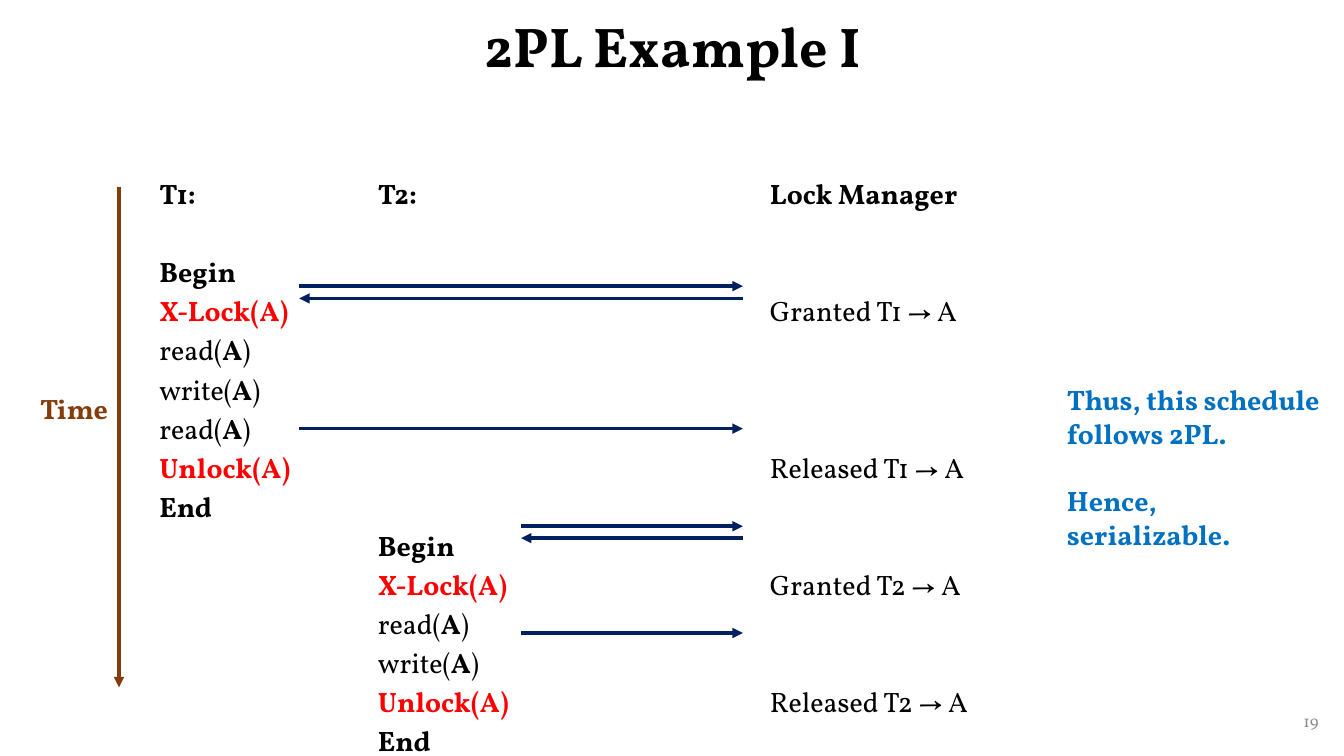
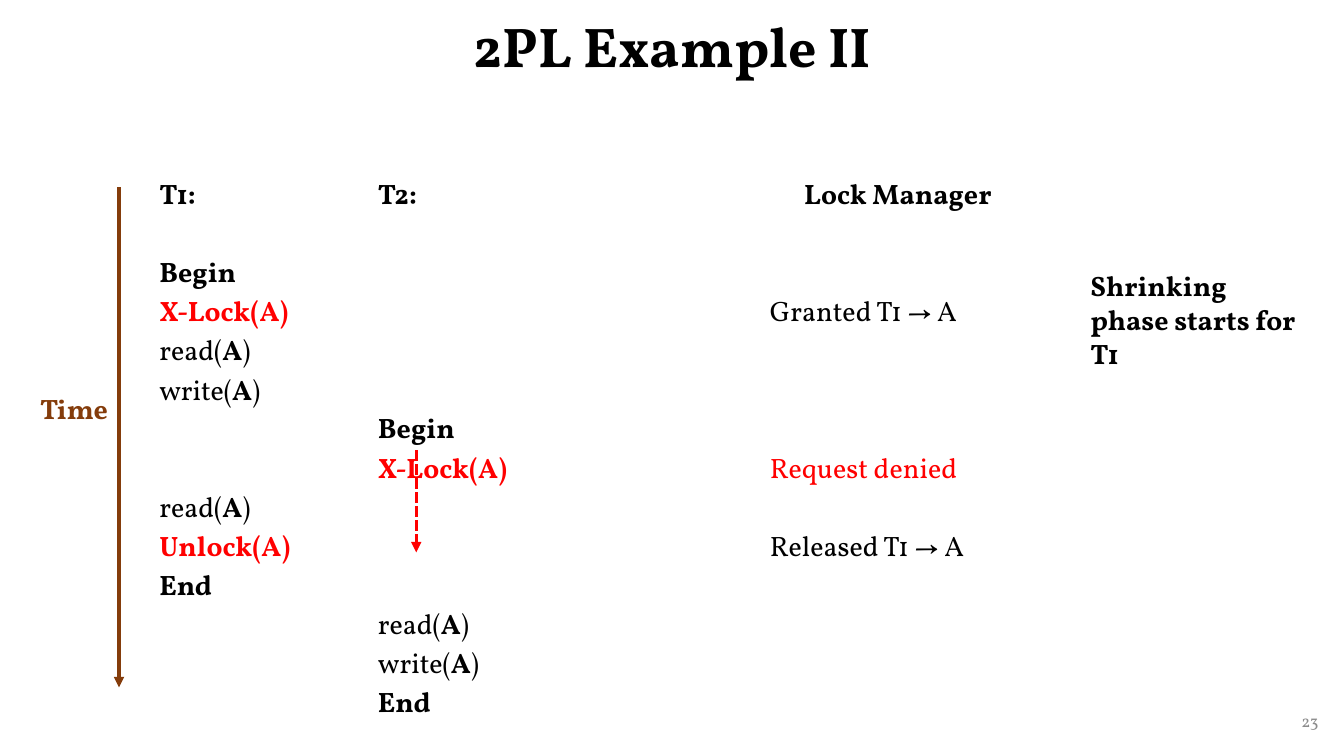
from pptx import Presentation
from pptx.dml.color import RGBColor
from pptx.enum.dml import MSO_LINE
from pptx.enum.shapes import MSO_CONNECTOR
from pptx.enum.text import MSO_ANCHOR, PP_ALIGN
from pptx.oxml.ns import qn
from pptx.util import Cm, Pt
from lxml.etree import SubElement

# Shared style
FONT = "Vollkorn"
BLACK = RGBColor(0x00, 0x00, 0x00)
RED = RGBColor(0xFF, 0x00, 0x00)
BROWN = RGBColor(0x84, 0x3C, 0x0B)
NAVY = RGBColor(0x00, 0x20, 0x60)
BLUE = RGBColor(0x00, 0x70, 0xC0)
GREY = RGBColor(0x8C, 0x8C, 0x8C)
LINE_PITCH = 27.9  # points from one schedule line to the next

# Shared places, in centimetres
TABLE_TOP, CELL_MARGIN = 4.35, 0.13
STEPS_LEFT, STEP_WIDTHS = 3.76, (5.51, 5.21)
MANAGER_LEFT, MANAGER_WIDTH = 19.15, 6.96
T1_EDGE, T2_EDGE, MANAGER_EDGE = 7.54, 13.13, 18.72

# Column contents: line number and text
EXAMPLE_1_STEPS = [
    [(0, "T1:"), (2, "Begin"), (3, "X-Lock(A)"), (4, "read(A)"), (5, "write(A)"),
     (6, "read(A)"), (7, "Unlock(A)"), (8, "End")],
    [(0, "T2:"), (9, "Begin"), (10, "X-Lock(A)"), (11, "read(A)"),
     (12, "write(A)"), (13, "Unlock(A)"), (14, "End")],
]
EXAMPLE_1_MANAGER = [(0, "Lock Manager"), (3, "Granted T1 → A"), (7, "Released T1 → A"),
                     (10, "Granted T2 → A"), (13, "Released T2 → A")]
EXAMPLE_2_STEPS = [
    [(0, "T1:"), (2, "Begin"), (3, "X-Lock(A)"), (4, "read(A)"), (5, "write(A)"),
     (8, "read(A)"), (9, "Unlock(A)"), (10, "End")],
    [(0, "T2:"), (6, "Begin"), (7, "X-Lock(A)"), (11, "read(A)"),
     (12, "write(A)"), (13, "End")],
]
EXAMPLE_2_MANAGER = [(0, "Lock Manager"), (3, "Granted T1 → A"),
                     (7, "Request denied"), (9, "Released T1 → A")]


def add_span(para, text, size=20, bold=True, color=BLACK):
    span = para.add_run()
    span.text = text
    span.font.name = FONT
    span.font.size = Pt(size)
    span.font.bold = bold
    span.font.color.rgb = color


def add_text(shapes, place, *texts, align=PP_ALIGN.LEFT, anchor=MSO_ANCHOR.TOP,
             wrap=True, gap=24, **style):
    """Add a text box with one paragraph per text."""
    box = shapes.add_textbox(*map(Cm, place))
    frame = box.text_frame
    frame.word_wrap = wrap
    frame.vertical_anchor = anchor
    for index, text in enumerate(texts):
        para = frame.add_paragraph() if index else frame.paragraphs[0]
        para.alignment = align
        if index:
            para.space_before = Pt(gap)
        add_span(para, text, **style)


def add_arrow(shapes, start, end, color=NAVY, dash=None):
    arrow = shapes.add_connector(MSO_CONNECTOR.STRAIGHT, *map(Cm, start + end))
    arrow.line.color.rgb = color
    arrow.line.width = Pt(2.5)
    if dash:
        arrow.line.dash_style = dash
    properties = arrow._element.spPr
    SubElement(properties.find(qn("a:ln")), qn("a:tailEnd"), type="triangle")
    SubElement(properties, qn("a:effectLst"))


def write_step(para, text):
    """Locks and denials are red, reads and writes have a bold operand."""
    if text.startswith(("read", "write")):
        action, operand = text.rstrip(")").split("(")
        add_span(para, action + "(", bold=False)
        add_span(para, operand)
        add_span(para, ")", bold=False)
    elif "lock(" in text.lower():
        add_span(para, text, color=RED)
    elif text == "Request denied":
        add_span(para, text, bold=False, color=RED)
    else:
        add_span(para, text, bold="→" not in text)


def add_schedule(shapes, left, widths, columns, heading_align=PP_ALIGN.LEFT):
    """Add a one-row table, tall enough for its last line."""
    line_count = 1 + max(steps[-1][0] for steps in columns)
    height = Pt(LINE_PITCH * line_count) + 2 * Cm(CELL_MARGIN)
    table = shapes.add_table(1, len(columns), Cm(left), Cm(TABLE_TOP),
                             Cm(sum(widths)), height).table
    table.first_row = table.horz_banding = False
    for index, (width, steps) in enumerate(zip(widths, columns)):
        table.columns[index].width = Cm(width)
        cell = table.cell(0, index)
        cell.fill.background()
        cell.margin_top = cell.margin_bottom = Cm(CELL_MARGIN)
        frame = cell.text_frame
        previous = 0
        for line, text in steps:
            para = frame.add_paragraph() if line else frame.paragraphs[0]
            if line:
                para.space_before = Pt(LINE_PITCH * (line - previous - 1))
            else:
                para.alignment = heading_align
            write_step(para, text)
            previous = line


def add_time_axis(slide):
    shapes = slide.shapes.add_group_shape().shapes
    add_arrow(shapes, (3, 4.72), (3, 17.32), color=BROWN)
    add_text(shapes, (0.76, 9.73, 2.26, 1.12), "Time", wrap=False, color=BROWN)


def add_example(deck, title, number, steps, manager, **manager_format):
    """Add a slide with title, number, time axis and both schedule tables."""
    slide = deck.slides.add_slide(deck.slide_layouts[5])
    heading = slide.shapes.title
    heading.left, heading.top, heading.width, heading.height = map(
        Cm, (2.34, 0, 29.21, 2.51))
    heading.text_frame.vertical_anchor = MSO_ANCHOR.MIDDLE
    para = heading.text_frame.paragraphs[0]
    para.alignment = PP_ALIGN.CENTER
    para.line_spacing = 0.9
    add_span(para, title, size=40)

    add_text(slide.shapes, (25.86, 17.65, 7.62, 1.02), number, size=12, bold=False,
             color=GREY, align=PP_ALIGN.RIGHT, anchor=MSO_ANCHOR.MIDDLE)
    add_schedule(slide.shapes, STEPS_LEFT, STEP_WIDTHS, steps)
    add_time_axis(slide)
    add_schedule(slide.shapes, MANAGER_LEFT, [MANAGER_WIDTH], [manager],
                 **manager_format)
    return slide


def main():
    deck = Presentation()
    deck.slide_width, deck.slide_height = Cm(33.87), Cm(19.05)

    # Example I: messages between the transactions and the lock manager
    slide = add_example(deck, "2PL Example I", "19", EXAMPLE_1_STEPS, EXAMPLE_1_MANAGER)
    for edge, request, reply, release in ((T1_EDGE, 7.21, 7.52, 10.8),
                                          (T2_EDGE, 13.26, 13.56, 15.95)):
        add_arrow(slide.shapes, (edge, request), (MANAGER_EDGE, request))
        add_arrow(slide.shapes, (MANAGER_EDGE, reply), (edge, reply))
        add_arrow(slide.shapes, (edge, release), (MANAGER_EDGE, release))
    add_text(slide.shapes, (26.64, 9.52, 6.96, 3.68),
             "Thus, this schedule follows 2PL.", "Hence, serializable.", color=BLUE)

    # Example II: T2 waits after its denied request
    slide = add_example(deck, "2PL Example II", "23", EXAMPLE_2_STEPS,
                        EXAMPLE_2_MANAGER, heading_align=PP_ALIGN.CENTER)
    add_text(slide.shapes, (27.23, 6.65, 6.02, 1.96), "Shrinking phase starts for T1")
    add_arrow(slide.shapes, (10.49, 11.35), (10.49, 13.92), color=RED,
              dash=MSO_LINE.SQUARE_DOT)

    deck.save("out.pptx")


if __name__ == "__main__":
    main()
